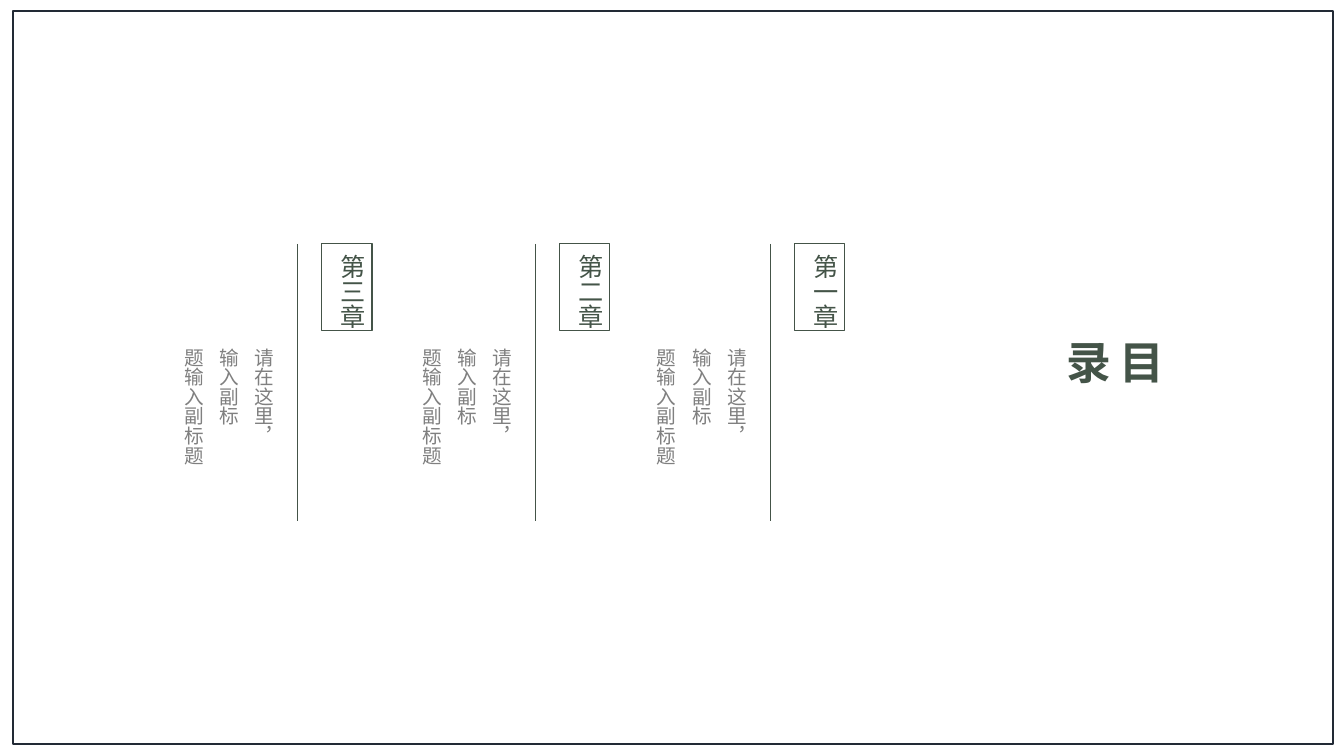
"""Builds a contents slide with three chapters set in vertical Chinese text."""
from dataclasses import dataclass
from lxml.etree import SubElement
from pptx import Presentation
from pptx.dml.color import RGBColor
from pptx.enum.shapes import MSO_CONNECTOR, MSO_SHAPE
from pptx.enum.text import MSO_ANCHOR, MSO_AUTO_SIZE, PP_ALIGN
from pptx.oxml.ns import qn
from pptx.util import Inches, Pt


@dataclass
class Theme:
    font: str = "Noto Sans CJK SC"
    green: RGBColor = RGBColor(0x44, 0x54, 0x48)
    grey: RGBColor = RGBColor(0x80, 0x80, 0x80)
    navy: RGBColor = RGBColor(0x22, 0x2A, 0x35)
    title: int = 32
    chapter: int = 18
    body: int = 14


def place(sp, left, top, width, height):
    sp.left, sp.top = Inches(left), Inches(top)
    sp.width, sp.height = Inches(width), Inches(height)


def set_vertical(sp, text, size, color, bold=False, spacing=1.0):
    tf = sp.text_frame
    tf.text = text
    tf.word_wrap = False
    tf.auto_size = MSO_AUTO_SIZE.SHAPE_TO_FIT_TEXT
    tf.vertical_anchor = MSO_ANCHOR.TOP
    tf._txBody.bodyPr.set("vert", "eaVert")
    for p in tf.paragraphs:
        pPr = p._p.get_or_add_pPr()
        pPr.set("marL", "0")
        pPr.set("indent", "0")
        SubElement(pPr, qn("a:buNone"))
        p.alignment = PP_ALIGN.LEFT
        p.line_spacing = spacing
        p.space_before = Pt(0)
        for r in p.runs:
            r.font.size = Pt(size)
            r.font.bold = bold
            r.font.color.rgb = color
            r.font.name = theme.font
            SubElement(r._r.get_or_add_rPr(), qn("a:ea")).set("typeface", theme.font)


theme = Theme()
prs = Presentation()
prs.slide_width, prs.slide_height = Inches(13.33), Inches(7.5)
s = prs.slides.add_slide(prs.slide_layouts.get_by_name("Comparison"))

frame = s.shapes.add_shape(
    MSO_SHAPE.RECTANGLE, Inches(0.13), Inches(0.11), Inches(13.09), Inches(7.27))
frame.shadow.inherit = False
frame.fill.background()
frame.line.color.rgb = theme.navy
frame.line.width = Pt(1)

title, *bodies, spare = s.placeholders
spare.element.getparent().remove(spare.element)
place(title, 10.94, 3.32, 0.74, 0.98)
set_vertical(title, "目录", theme.title, theme.green, bold=True)

chapters = [("第一章", 7.64), ("第二章", 5.31), ("第三章", 2.95)]
subtitle = "请在这里，\n输入副标\n题输入副标题"
top = 2.42

for (name, x), body in zip(chapters, bodies):
    box = s.shapes.add_shape(
        MSO_SHAPE.RECTANGLE, Inches(x + 0.24), Inches(top), Inches(0.5), Inches(0.86))
    box.shadow.inherit = False
    box.fill.background()
    box.line.color.rgb = theme.green
    box.line.width = Pt(0.75)
    set_vertical(box, name, theme.chapter, theme.green)

    rule = s.shapes.add_connector(
        MSO_CONNECTOR.STRAIGHT, Inches(x), Inches(top), Inches(x), Inches(5.17))
    rule.line.color.rgb = theme.green
    rule.line.width = Pt(0.5)
    SubElement(rule._element.spPr, qn("a:effectLst"))

    place(body, x - 1.62, 3.4, 1.62, 1.28)
    set_vertical(body, subtitle, theme.body, theme.grey, spacing=1.5)

prs.save("out.pptx")
